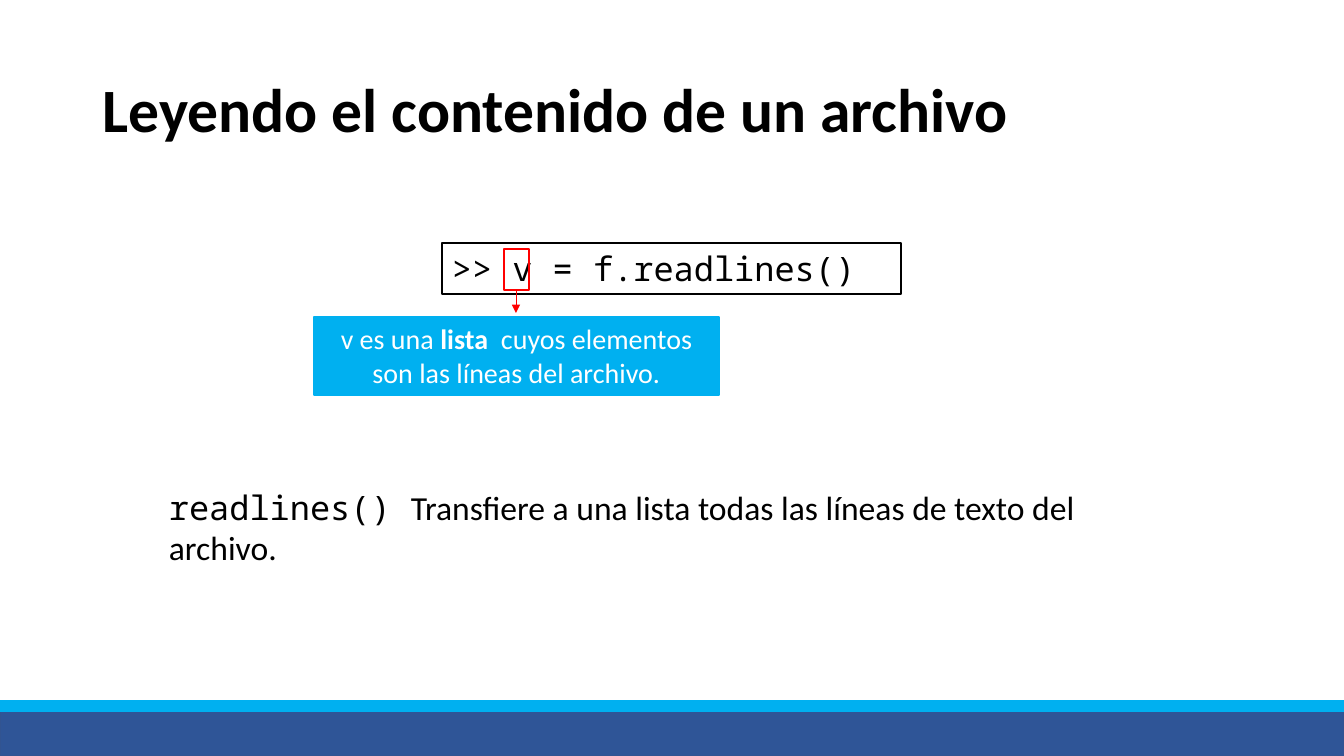
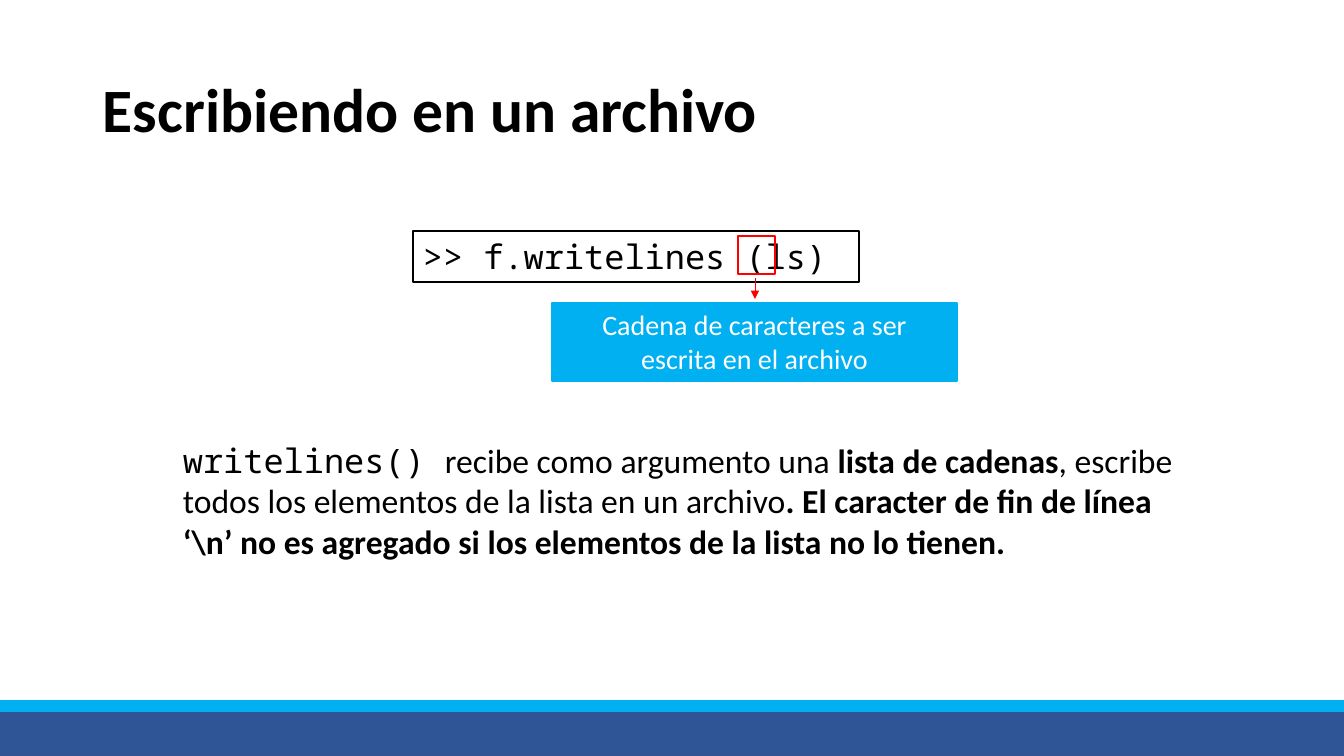
import pptx
import pptx.util
import pptx.dml.color
import pptx.enum.shapes
import pptx.enum.text
import pptx.oxml
import pptx.oxml.ns

PIXEL = 914400 / 100.8
COLORS = {"black": "000000", "white": "FFFFFF", "navy": "2F5597", "navy edge": "325491",
          "sky": "00B0F0", "red": "FF0000"}
TEXT, CODE = "Calibri", "Noto Sans Mono"
MIDDLE = pptx.enum.text.MSO_ANCHOR.MIDDLE
TOP = pptx.enum.text.MSO_ANCHOR.TOP
LEFT = pptx.enum.text.PP_ALIGN.LEFT
CENTER = pptx.enum.text.PP_ALIGN.CENTER


def add_box(page, place, fill=None, line=None, width=1):
    """Add a rectangle; place is left, top, width, height in pixels."""
    box = page.shapes.add_shape(pptx.enum.shapes.MSO_SHAPE.RECTANGLE,
                                *[round(length * PIXEL) for length in place])
    box.shadow.inherit = False
    if fill:
        box.fill.solid()
        box.fill.fore_color.rgb = pptx.dml.color.RGBColor.from_string(COLORS[fill])
    else:
        box.fill.background()
    box.line.color.rgb = pptx.dml.color.RGBColor.from_string(COLORS[line])
    box.line.width = pptx.util.Pt(width)
    return box


def write(box, runs, size, color="black", align=LEFT, anchor=TOP):
    """Fill one paragraph with runs of (text, font, bold)."""
    frame = box.text_frame
    frame.word_wrap = True
    frame.vertical_anchor = anchor
    para = frame.paragraphs[0]
    para.alignment = align
    for text, font, bold in runs:
        span = para.add_run()
        span.text = text
        span.font.name = font
        span.font.size = pptx.util.Pt(size)
        span.font.bold = bold
        span.font.color.rgb = pptx.dml.color.RGBColor.from_string(COLORS[color])
    return para


# What each slide says and where its parts stand
PAGES = [
    {"title": "Leyendo el contenido de un archivo",
     "code": ">> v = f.readlines()", "code place": (442, 243, 459, 51),
     "mark place": (504, 249, 25, 41), "arrow": (516, 291, 313),
     "callout place": (314, 317, 405, 78),
     "callout": [("v es una ", TEXT, False), ("lista", TEXT, True),
                 ("  cuyos elementos son las líneas del archivo.", TEXT, False)],
     "note place": (159, 482, 1026, 92),
     "note": [("readlines() ", CODE, False),
              ("Transfiere a una lista todas las líneas de texto del archivo.", TEXT, False)]},
    {"title": "Escribiendo en un archivo",
     "code": ">> f.writelines (ls)", "code place": (413, 231, 446, 51),
     "mark place": (738, 236, 37, 38), "arrow": (755, 278, 299),
     "callout place": (552, 303, 405, 78),
     "callout": [("Cadena de caracteres a ser escrita en el archivo", TEXT, False)],
     "note place": (173, 435, 1026, 132),
     "note": [("writelines() ", CODE, False),
              ("recibe como argumento una ", TEXT, False),
              ("lista de cadenas", TEXT, True),
              (", escribe todos los elementos de la lista en un archivo", TEXT, False),
              (". El caracter de fin de línea ‘\\n’ no es agregado si los elementos "
               "de la lista no lo tienen.", TEXT, True)]},
]

deck = pptx.Presentation()
deck.slide_width = round(1344 * PIXEL)
deck.slide_height = round(756 * PIXEL)

for content in PAGES:
    page = deck.slides.add_slide(deck.slide_layouts[6])

    # Footer bands
    add_box(page, (0, 709, 1344, 47), "navy", "navy edge")
    add_box(page, (0, 701, 1344, 10), "sky", "sky")

    # Title and explanation
    title = page.shapes.add_textbox(*[round(length * PIXEL) for length in (93, 40, 1159, 146)])
    write(title, [(content["title"], TEXT, True)], 44, anchor=MIDDLE).line_spacing = 0.9
    note = page.shapes.add_textbox(*[round(length * PIXEL) for length in content["note place"]])
    write(note, content["note"], 24)

    # Line of code with its marked part
    code = add_box(page, content["code place"], "white", "black")
    write(code, [(content["code"], CODE, False)], 24)
    add_box(page, content["mark place"], line="red")

    # Arrow down to the callout
    x, start, end = [round(length * PIXEL) for length in content["arrow"]]
    arrow = page.shapes.add_connector(pptx.enum.shapes.MSO_CONNECTOR.STRAIGHT, x, start, x, end)
    arrow.line.color.rgb = pptx.dml.color.RGBColor.from_string(COLORS["red"])
    arrow.line.width = pptx.util.Pt(0.5)
    head = pptx.oxml.parse_xml(
        '<a:tailEnd %s type="triangle"/>' % pptx.oxml.ns.nsdecls("a"))
    arrow.line._get_or_add_ln().append(head)
    arrow._element.spPr.append(
        pptx.oxml.parse_xml("<a:effectLst %s/>" % pptx.oxml.ns.nsdecls("a")))

    # Callout
    callout = add_box(page, content["callout place"], "sky", "sky", 1.5)
    write(callout, content["callout"], 20, "white", CENTER)

deck.save("out.pptx")
